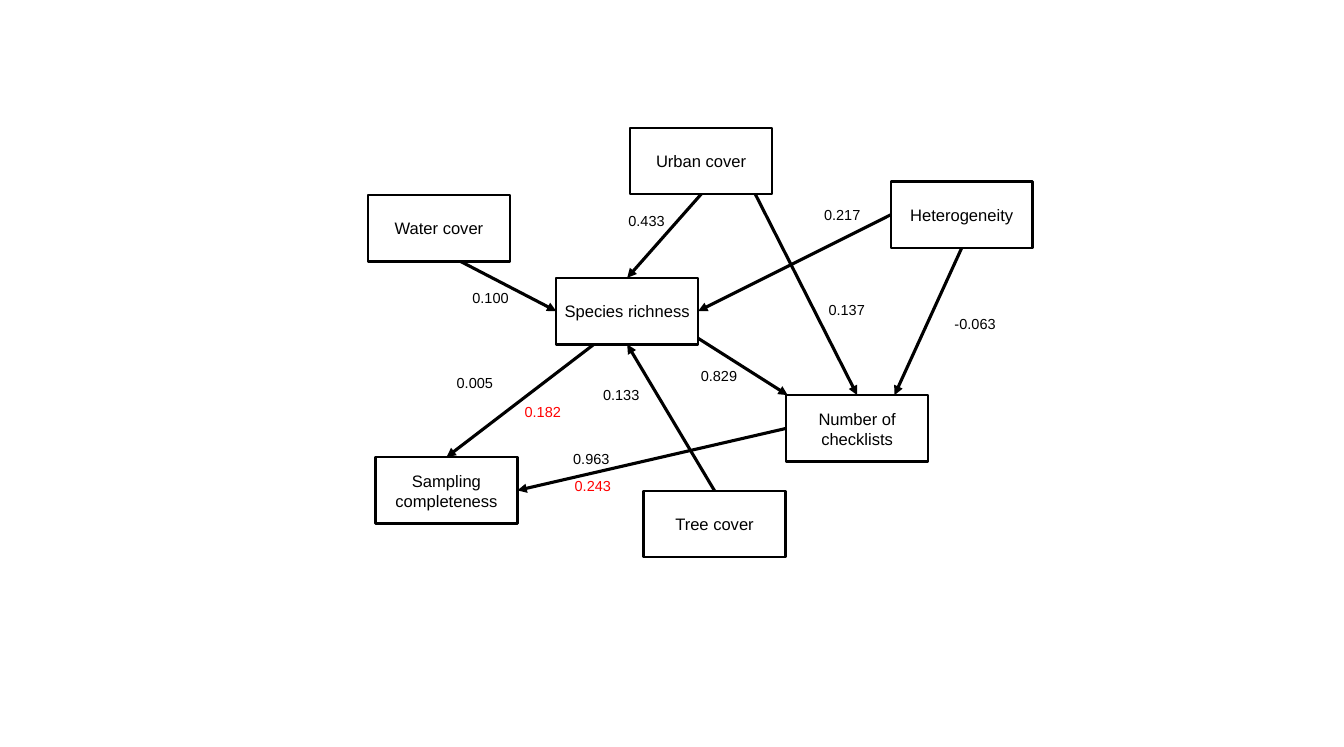
from lxml import etree
from pptx import Presentation
from pptx.dml.color import RGBColor
from pptx.enum import shapes, text
from pptx.oxml import ns
from pptx.util import Inches, Pt

BLACK, WHITE, RED = "000000", "FFFFFF", "FF0000"
TOP, LEFT, BOTTOM, RIGHT = range(4)


def rgb(value):
    return RGBColor.from_string(value)


def add_rect(s, label, x, y, w, h, size, color, border=None):
    sp = s.shapes.add_shape(shapes.MSO_SHAPE.RECTANGLE, *map(Inches, (x, y, w, h)))
    sp.shadow.inherit = False
    sp.fill.solid()
    sp.fill.fore_color.rgb = rgb(WHITE)
    if border:
        sp.line.color.rgb = rgb(BLACK)
        sp.line.width = Pt(border)
    else:
        sp.line.fill.background()
    tf = sp.text_frame
    tf.word_wrap = True
    tf.vertical_anchor = text.MSO_ANCHOR.MIDDLE
    p = tf.paragraphs[0]
    p.alignment = text.PP_ALIGN.CENTER
    r = p.add_run()
    r.text = label
    for name, value in {"name": "Arial", "size": Pt(size)}.items():
        setattr(r.font, name, value)
    r.font.color.rgb = rgb(color)
    return sp


prs = Presentation()
prs.slide_width, prs.slide_height = Inches(18), Inches(10)
s = prs.slides.add_slide(prs.slide_layouts[6])

coefficients = [
    ("0.182", 6.82, 5.22, RED),
    ("0.243", 7.49, 6.22, RED),
    ("0.963", 7.47, 5.85, BLACK),
    ("0.433", 8.21, 2.67, BLACK),
    ("0.100", 6.12, 3.7, BLACK),
    ("0.133", 7.87, 5, BLACK),
    ("0.217", 10.83, 2.59, BLACK),
    ("0.005", 5.91, 4.84, BLACK),
    ("0.137", 10.89, 3.86, BLACK),
    ("0.829", 9.18, 4.74, BLACK),
    ("-0.063", 12.61, 4.05, BLACK),
]
for label, x, y, color in coefficients:
    add_rect(s, label, x, y, 0.9, 0.57, 14, color)

variables = [
    ("Species richness", 7.45, 3.72),
    ("Heterogeneity", 11.93, 2.43),
    ("Urban cover", 8.44, 1.71),
    ("Water cover", 4.93, 2.61),
    ("Tree cover", 8.62, 6.57),
    ("Number of checklists", 10.53, 5.29),
    ("Sampling completeness", 5.03, 6.12),
]
boxes = [add_rect(s, label, x, y, 1.9, 0.89, 16, BLACK, 2.25)
         for label, x, y in variables]
species, heterogeneity, urban, water, tree, checklists, completeness = boxes

paths = [
    ((6.11, 3.47), (species, LEFT)),
    ((8.99, 4.3), (10.55, 5.29)),
    ((8.15, 4.46), (completeness, TOP)),
    ((10.03, 2.43), (checklists, TOP)),
    ((tree, TOP), (species, BOTTOM)),
    ((urban, BOTTOM), (species, TOP)),
    ((heterogeneity, BOTTOM), (11.98, 5.29)),
    ((heterogeneity, LEFT), (species, RIGHT)),
    ((checklists, LEFT), (completeness, RIGHT)),
]
for start, end in paths:
    points = [(0, 0) if node in boxes else (node, y) for node, y in (start, end)]
    c = s.shapes.add_connector(shapes.MSO_CONNECTOR.STRAIGHT,
                               *(Inches(v) for point in points for v in point))
    if start[0] in boxes:
        c.begin_connect(*start)
    else:
        species._element.addprevious(c._element)
    if end[0] in boxes:
        c.end_connect(*end)
    c.line.color.rgb = rgb(BLACK)
    c.line.width = Pt(3)
    etree.SubElement(c.line._get_or_add_ln(), ns.qn("a:tailEnd"), type="triangle")
    etree.SubElement(c._element.spPr, ns.qn("a:effectLst"))

prs.save("out.pptx")
